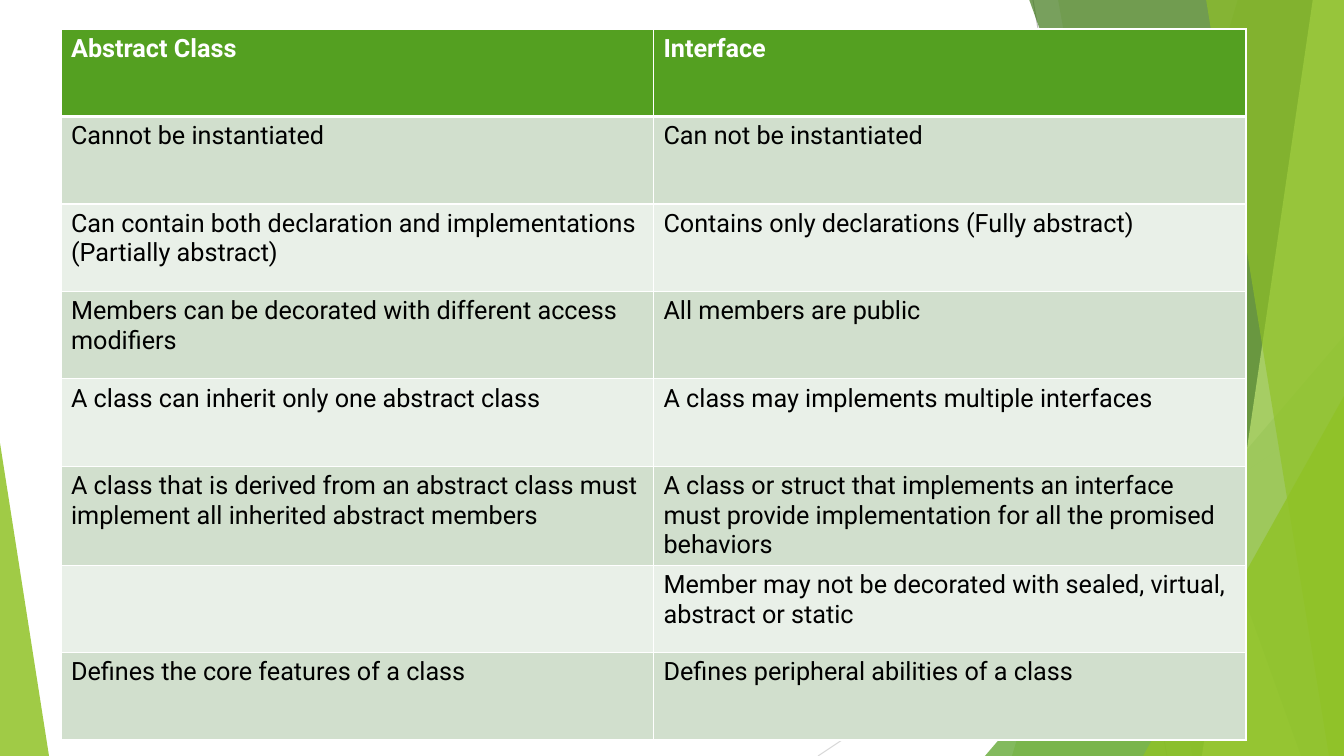
from lxml import etree
from pptx import Presentation
from pptx.dml.color import RGBColor
from pptx.enum.shapes import MSO_CONNECTOR, MSO_SHAPE
from pptx.oxml.ns import qn
from pptx.util import Emu, Pt

STRAIGHT = MSO_CONNECTOR.STRAIGHT
TRIANGLE = MSO_SHAPE.ISOSCELES_TRIANGLE

EMU_PER_PIXEL = 914400 / 100.8
SLIDE_WIDTH, SLIDE_HEIGHT = 1344, 756
BLANK_LAYOUT = 6

FONT = "Roboto"
WHITE, BLACK = "FFFFFF", "000000"
GREEN, LIME, DARK_GREEN, PALE_LIME = "54A021", "90C226", "3F7819", "C0E474"
BAND_FILLS = ("E9F0E8", "D1DFCD")
THIN_BORDER, HEADER_BORDER = 1, 3

COMPARISON = [
    ("Abstract Class", "Interface"),
    ("Cannot be instantiated", "Can not be instantiated"),
    ("Can contain both declaration and implementations (Partially abstract)",
     "Contains only declarations (Fully abstract)"),
    ("Members can be decorated with different access modifiers",
     "All members are public"),
    ("A class can inherit only one abstract class",
     "A class may implements multiple interfaces"),
    ("A class that is derived from an abstract class must implement all "
     "inherited abstract members",
     "A class or struct that implements an interface must provide "
     "implementation for all the promised behaviors"),
    ("", "Member may not be decorated with sealed, virtual, abstract or static"),
    ("Defines the core features of a class",
     "Defines peripheral abilities of a class"),
]


def pixels(*lengths):
    return [Emu(round(length * EMU_PER_PIXEL)) for length in lengths]


def color(hex_value):
    return RGBColor.from_string(hex_value)


def paint(shape, fill, opacity):
    """Give a shape a see-through fill without outline or shadow."""
    shape.shadow.inherit = False
    shape.line.fill.background()
    shape.fill.solid()
    shape.fill.fore_color.rgb = color(fill)
    color_element = shape.fill._xPr.find(qn("a:solidFill"))[0]
    etree.SubElement(color_element, qn("a:alpha"), val=str(opacity * 1000))


def add_line(slide, start, end, stroke):
    line = slide.shapes.add_connector(STRAIGHT, *pixels(*start, *end))
    line.line.color.rgb = color(stroke)
    line.line.width = Pt(0.75)
    etree.SubElement(line._element.spPr, qn("a:effectLst"))


def add_side_panel(slide, top_left, bottom_left, fill, opacity):
    """Add a panel with a slanted left side that ends at the right slide edge."""
    top = -1
    builder = slide.shapes.build_freeform(*pixels(top_left, top), scale=1.0)
    corners = [(SLIDE_WIDTH, top), (SLIDE_WIDTH, SLIDE_HEIGHT),
               (bottom_left, SLIDE_HEIGHT)]
    builder.add_line_segments([pixels(*corner) for corner in corners], close=True)
    paint(builder.convert_to_shape(), fill, opacity)


def add_triangle(slide, left, top, width, apex, fill, opacity):
    """Add a triangle that stands on the bottom slide edge."""
    box = pixels(left, top, width, SLIDE_HEIGHT - top)
    triangle = slide.shapes.add_shape(TRIANGLE, *box)
    triangle.adjustments[0] = apex
    paint(triangle, fill, opacity)


def set_borders(cell, **widths):
    properties = cell._tc.get_or_add_tcPr()
    for side in "LRTB":
        width = Pt(widths.get(side, THIN_BORDER))
        border = etree.SubElement(properties, qn("a:ln" + side), w=str(width))
        fill = etree.SubElement(border, qn("a:solidFill"))
        etree.SubElement(fill, qn("a:srgbClr"), val=WHITE)


def write_text(text_frame, text, size=18, bold=False, text_color=BLACK):
    paragraph = text_frame.paragraphs[0]
    paragraph.font.size = Pt(size)
    if text:
        run = paragraph.add_run()
        run.text = text
        run.font.name = FONT
        run.font.size = Pt(size)
        run.font.bold = bold
        run.font.color.rgb = color(text_color)


def add_comparison_table(slide, left, top, width, height):
    frame = slide.shapes.add_table(len(COMPARISON), len(COMPARISON[0]),
                                   *pixels(left, top, width, height))
    for row_index, texts in enumerate(COMPARISON):
        is_header = row_index == 0
        borders = {0: {"B": HEADER_BORDER}, 1: {"T": HEADER_BORDER}}
        for column_index, text in enumerate(texts):
            cell = frame.table.cell(row_index, column_index)
            set_borders(cell, **borders.get(row_index, {}))
            cell.fill.solid()
            cell.fill.fore_color.rgb = color(
                GREEN if is_header else BAND_FILLS[row_index % 2])
            write_text(cell.text_frame, text, bold=is_header,
                       text_color=WHITE if is_header else BLACK)


def add_background(slide):
    # Thin lines
    add_line(slide, (1033, 0), (1167, SLIDE_HEIGHT), "BFBFBF")
    add_line(slide, (SLIDE_WIDTH, 406), (818, SLIDE_HEIGHT), "D9D9D9")

    # Overlapping facets on the right, from back to front
    add_side_panel(slide, 1238, 1012, LIME, 30)
    add_side_panel(slide, 1058, 1192, LIME, 20)
    add_triangle(slide, 985, 336, 359, 1, GREEN, 72)
    add_side_panel(slide, 1029, 1301, DARK_GREEN, 70)
    add_side_panel(slide, 1313, 1202, PALE_LIME, 70)
    add_side_panel(slide, 1206, 1329, LIME, 65)
    add_triangle(slide, 1143, 396, 201, 1, LIME, 80)

    # Wedge in the lower left corner
    add_triangle(slide, 0, 443, 49, 0, LIME, 85)


def main():
    presentation = Presentation()
    presentation.slide_width, presentation.slide_height = pixels(
        SLIDE_WIDTH, SLIDE_HEIGHT)
    slide = presentation.slides.add_slide(presentation.slide_layouts[BLANK_LAYOUT])
    add_background(slide)
    add_comparison_table(slide, 61, 29, 1185, 700)
    presentation.save("out.pptx")


main()
